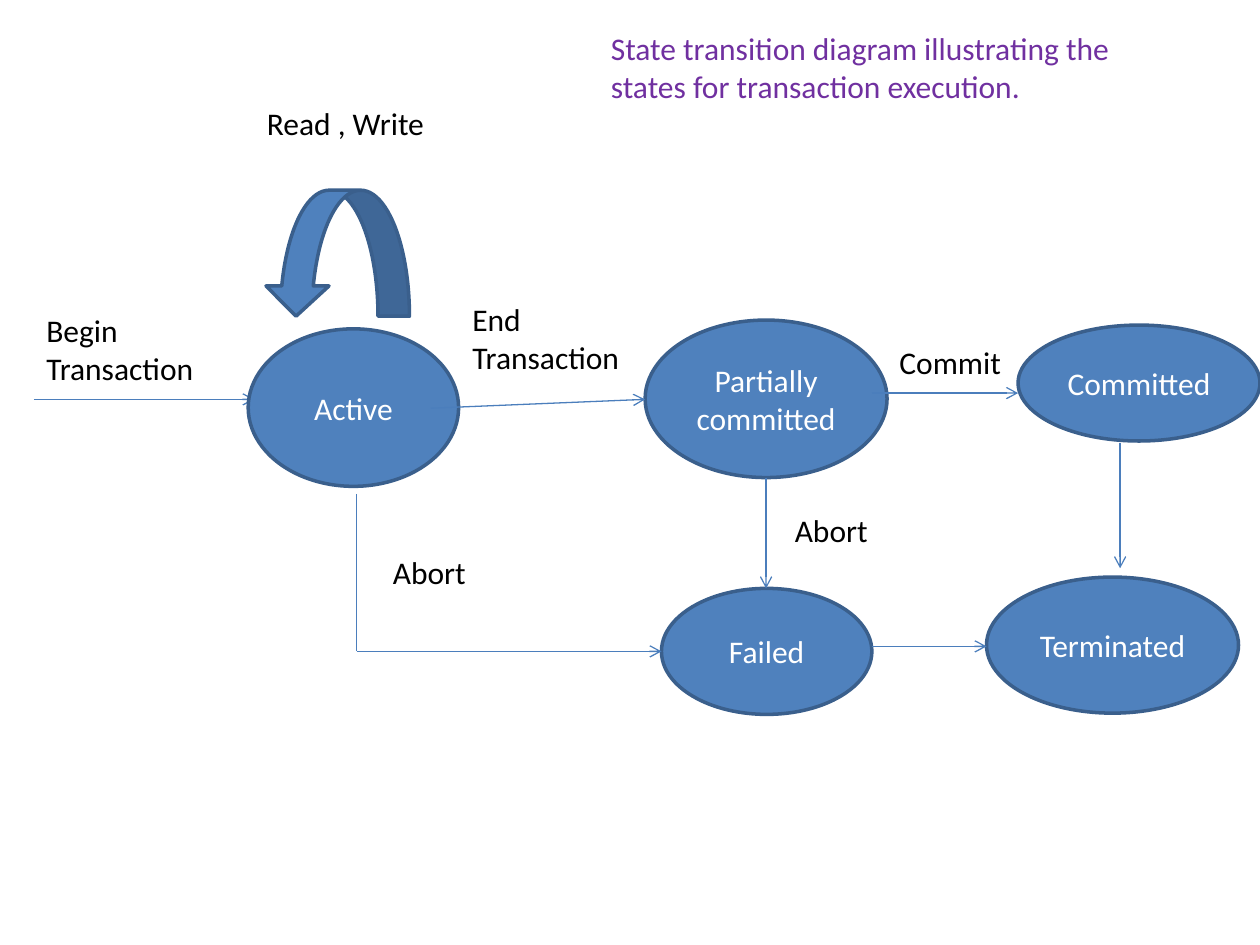
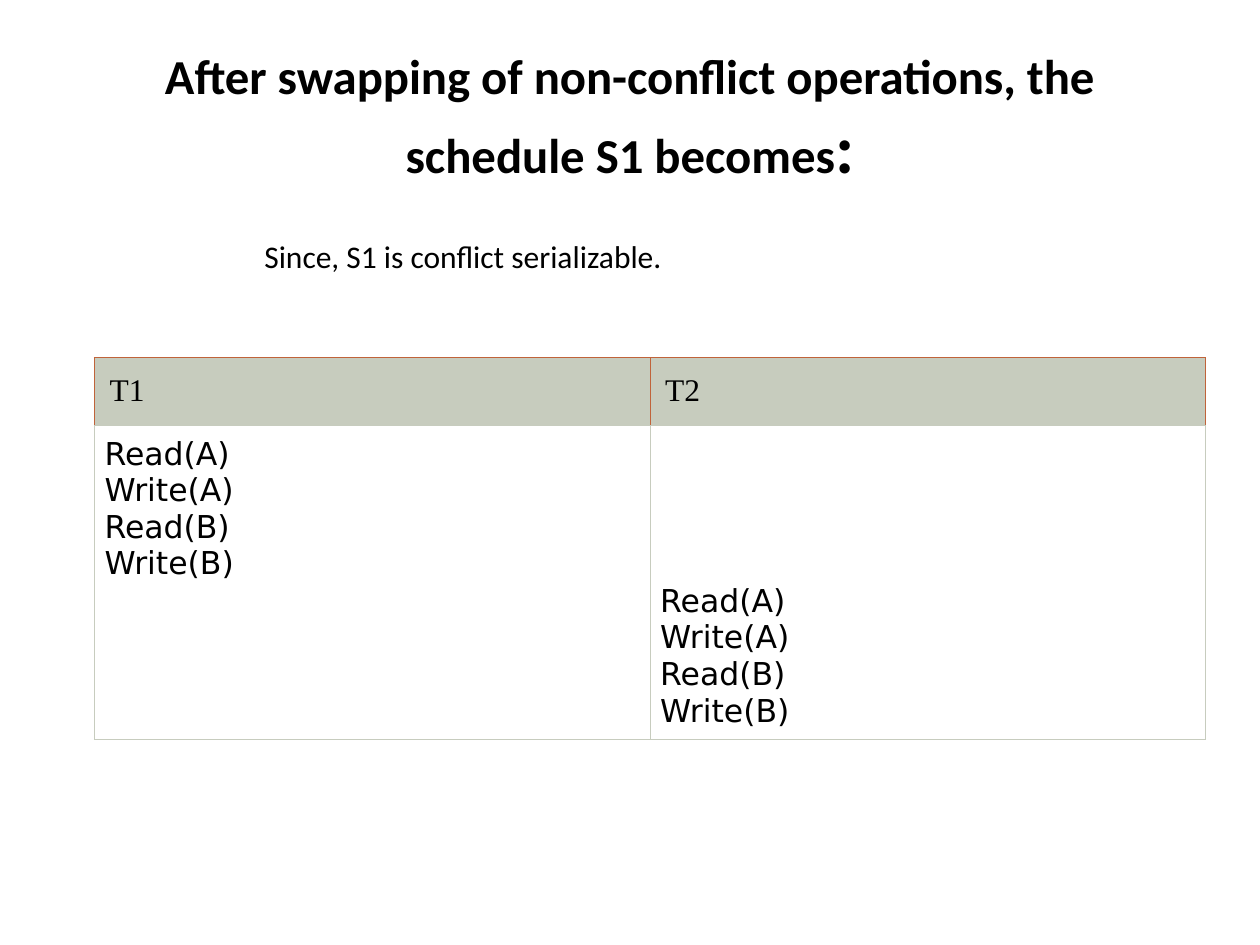
import pptx
import pptx.dml.color
import pptx.enum.shapes
import pptx.enum.text
import pptx.oxml
import pptx.oxml.ns
import pptx.util
from lxml import etree

Inches = pptx.util.Inches
Pt = pptx.util.Pt
SHAPES = pptx.enum.shapes.MSO_SHAPE
ANCHOR = pptx.enum.text.MSO_ANCHOR
CENTER = pptx.enum.text.PP_ALIGN.CENTER
qn = pptx.oxml.ns.qn

BLACK, WHITE, PURPLE = "000000", "FFFFFF", "7030A0"
STATE_BLUE, OUTLINE_BLUE, ARROW_BLUE = "4F81BD", "3A5F8C", "4B7EBC"
SAGE, RUST = "C7CCBE", "C0633A"
BODY_FONT, HEADER_FONT, OPERATION_FONT = "Calibri", "Times New Roman", "DejaVu Sans"

STATES = [
    ("Active", 1.97, 2.61, 1.67, 1.25),
    ("Partially committed", 5.12, 2.54, 1.92, 1.25),
    ("Committed", 8.08, 2.58, 1.92, 0.92),
    ("Terminated", 7.83, 4.58, 2, 1.08),
    ("Failed", 5.25, 4.67, 1.67, 1),
]
TRANSITIONS = [
    (3.42, 3.24, 5.12, 3.17),
    (6.92, 3.12, 8.08, 3.12),
    (6.92, 5.13, 7.83, 5.13),
    (8.89, 3.52, 8.89, 4.51),
    (6.08, 3.79, 6.08, 4.67),
    (2.83, 5.17, 5.25, 5.17),
]
LABELS = [
    ("Begin Transaction", 0.27, 2.42, 1.83, 0.71),
    ("Read , Write", 2.02, 0.78, 1.62, 0.4),
    ("End Transaction", 3.65, 2.33, 1.38, 0.71),
    ("Commit", 7.04, 2.67, 1.21, 0.4),
    ("Abort", 6.21, 4.01, 1.17, 0.4),
    ("Abort", 3.02, 4.34, 1.17, 0.4),
]
OPERATIONS = "Read(A)\nWrite(A)\nRead(B)\nWrite(B)"


def rgb(hex_color):
    """Turn a hex string into a colour."""
    return pptx.dml.color.RGBColor.from_string(hex_color)


def style_run(run, color, size=18, font=BODY_FONT, bold=False):
    """Format one run of text."""
    run.font.name = font
    run.font.size = Pt(size)
    run.font.bold = bold
    run.font.color.rgb = rgb(color)


def write(frame, text, color=BLACK, font=BODY_FONT):
    """Fill a text frame and format all its runs."""
    frame.text = text
    frame.word_wrap = True
    for paragraph in frame.paragraphs:
        for run in paragraph.runs:
            style_run(run, color, font=font)


def add_label(slide, text, left, top, width, height, color=BLACK):
    """Add a wrapped text box."""
    label = slide.shapes.add_textbox(*map(Inches, (left, top, width, height)))
    write(label.text_frame, text, color)


def add_blue_shape(slide, preset, left, top, width, height):
    """Add a blue shape with a dark outline."""
    shape = slide.shapes.add_shape(preset, *map(Inches, (left, top, width, height)))
    shape.shadow.inherit = False
    shape.fill.solid()
    shape.fill.fore_color.rgb = rgb(STATE_BLUE)
    shape.line.color.rgb = rgb(OUTLINE_BLUE)
    shape.line.width = Pt(2)
    return shape


def add_state(slide, name, *box):
    """Add an ellipse that names a transaction state."""
    frame = add_blue_shape(slide, SHAPES.OVAL, *box).text_frame
    write(frame, name, WHITE)
    frame.vertical_anchor = ANCHOR.MIDDLE
    frame.paragraphs[0].alignment = CENTER


def add_read_write_loop(slide):
    """Add the curved arrow that returns to the active state."""
    loop = add_blue_shape(slide, SHAPES.CURVED_DOWN_ARROW, 2.1, 1.51, 1.15, 1)
    for index, value in enumerate((0.25, 0.5, 0.236)):
        loop.adjustments[index] = round(value, 2)
    loop._element.spPr.xfrm.set("flipH", "1")


def add_transition(slide, start_x, start_y, end_x, end_y, arrow=True):
    """Add a thin line, with an open arrowhead unless told otherwise."""
    transition = slide.shapes.add_connector(
        pptx.enum.shapes.MSO_CONNECTOR.STRAIGHT,
        *map(Inches, (start_x, start_y, end_x, end_y)))
    transition.line.color.rgb = rgb(ARROW_BLUE)
    transition.line.width = Pt(0.75)
    if arrow:
        etree.SubElement(transition.line._get_or_add_ln(), qn("a:tailEnd"), type="arrow")
    etree.SubElement(transition._element.spPr, qn("a:effectLst"))


def add_heading(slide, text, ending):
    """Add the bold centred heading with its larger closing mark."""
    heading = slide.shapes.add_textbox(*map(Inches, (0.5, 0.3, 9, 1.25)))
    frame = heading.text_frame
    frame.word_wrap = True
    frame.vertical_anchor = ANCHOR.MIDDLE
    paragraph = frame.paragraphs[0]
    paragraph.alignment = CENTER
    for part, size in ((text, 27.9), (ending, 39.6)):
        run = paragraph.add_run()
        run.text = part
        style_run(run, BLACK, size, bold=True)


def set_borders(cell, **colors):
    """Draw the borders of a cell, each side in its own colour."""
    properties = cell._tc.get_or_add_tcPr()
    for position, side in enumerate("LRTB"):
        border = etree.Element(qn(f"a:ln{side}"), w=str(Pt(0.75)))
        fill = etree.SubElement(border, qn("a:solidFill"))
        etree.SubElement(fill, qn("a:srgbClr"), val=colors.get(side, SAGE))
        properties.insert(position, border)


def fill_cell(cell, text, fill, font, inset):
    """Set the text, fill and margins of a cell."""
    write(cell.text_frame, text, font=font)
    cell.fill.solid()
    cell.fill.fore_color.rgb = rgb(fill)
    cell.margin_left = cell.margin_right = Inches(inset)
    cell.margin_top = cell.margin_bottom = Inches(inset)


def add_schedule(slide):
    """Add the table of the two transactions."""
    schedule = slide.shapes.add_table(
        2, 2, *map(Inches, (0.75, 2.84, 8.82, 3.02))).table
    schedule.first_row = schedule.horz_banding = False
    for row, height in zip(schedule.rows, (0.53, 2.49)):
        row.height = Inches(height)
    for column, transaction in enumerate(("T1", "T2")):
        header, operations = schedule.cell(0, column), schedule.cell(1, column)
        fill_cell(header, transaction, SAGE, HEADER_FONT, 0.12)
        set_borders(header, L=RUST, R=RUST, T=RUST)
        fill_cell(operations, OPERATIONS, WHITE, OPERATION_FONT, 0.08)
        set_borders(operations)
    schedule.cell(1, 1).vertical_anchor = ANCHOR.BOTTOM


def build_state_diagram(slide):
    """Build the diagram of transaction states."""
    add_transition(slide, 0.27, 3.17, 2.02, 3.17)
    for state in STATES:
        add_state(slide, *state)
    for transition in TRANSITIONS:
        add_transition(slide, *transition)
    add_transition(slide, 2.83, 3.92, 2.83, 5.17, arrow=False)
    add_read_write_loop(slide)
    for label in LABELS:
        add_label(slide, *label)
    add_label(slide, "State transition diagram illustrating the states for "
              "transaction execution.", 4.75, 0.18, 4.33, 0.71, PURPLE)


def build_schedule(slide):
    """Build the slide of the swapped schedule."""
    add_heading(slide, "After swapping of non-conflict operations, "
                "the schedule S1 becomes", ":")
    add_schedule(slide)
    add_label(slide, "Since, S1 is conflict serializable.", 2, 1.83, 5, 0.4)


def main():
    """Create and save the presentation."""
    deck = pptx.Presentation()
    deck.slide_width, deck.slide_height = Inches(10), Inches(7.5)
    for build in (build_state_diagram, build_schedule):
        build(deck.slides.add_slide(deck.slide_layouts[6]))
    deck.save("out.pptx")


if __name__ == "__main__":
    main()
